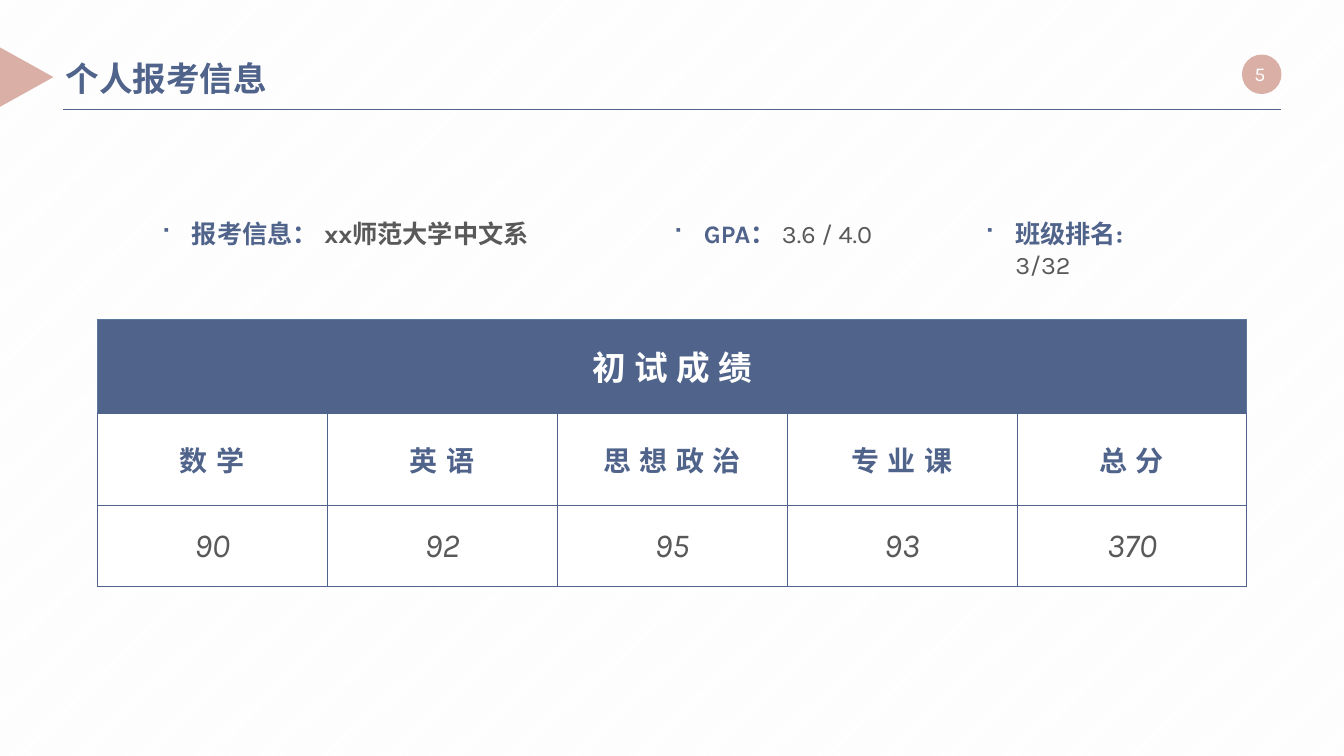
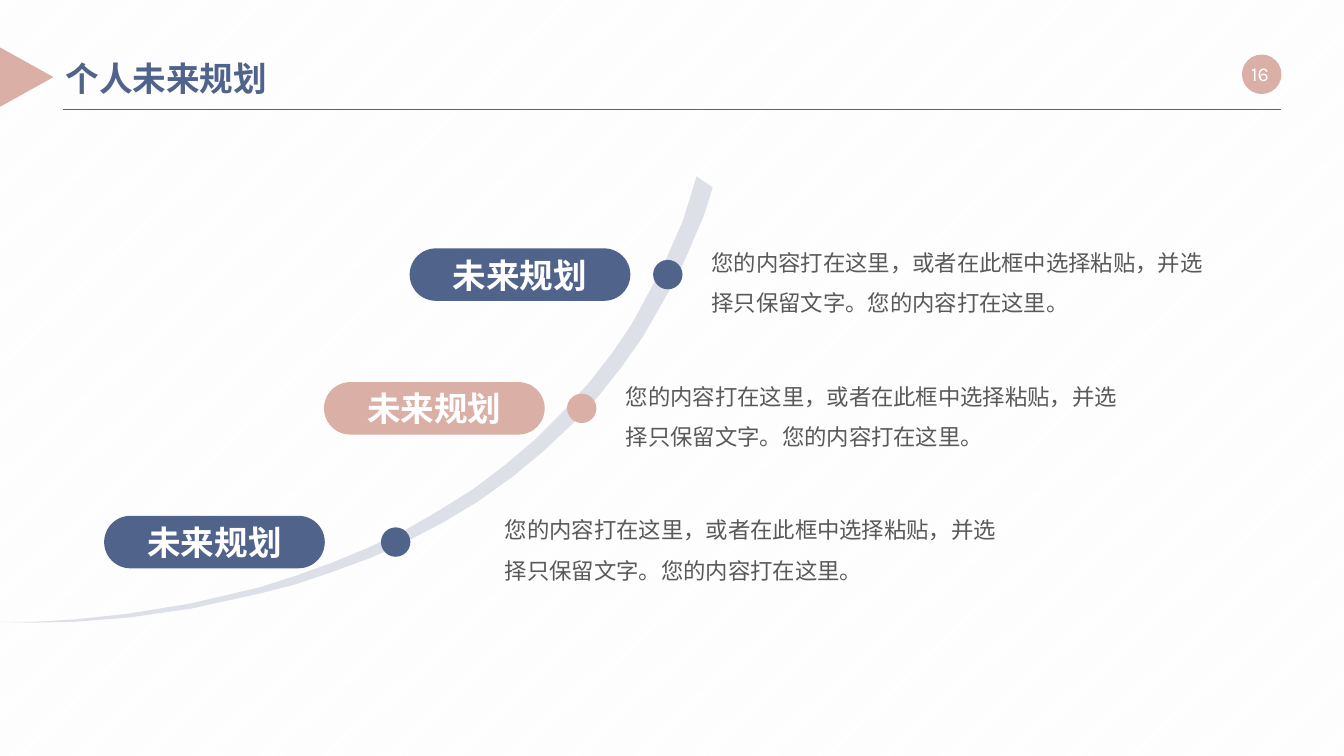
from dataclasses import dataclass

from lxml.etree import SubElement
from pptx import Presentation
from pptx.dml.color import RGBColor
from pptx.enum.dml import MSO_PATTERN
from pptx.enum.shapes import MSO_CONNECTOR, MSO_SHAPE
from pptx.enum.text import MSO_ANCHOR, PP_ALIGN
from pptx.oxml.ns import qn
from pptx.util import Emu, Inches, Pt

COLORS = {
    "blue": "50638A", "pink": "D9AFA6", "gray": "595959", "white": "FFFFFF",
    "stripe": "FCFAFA", "head_edge": "5A789C",
}
FONT = "Karla"

# Square grid: 64 columns by 36 rows; every length below is in grid cells
COLS, SLIDE_W, SLIDE_H = 64, 13.33, 7.5

STYLES = {
    "title": {"size": Pt(24), "bold": True},
    "number": {"size": Pt(14), "bold": False},
    "label": {"size": Pt(18), "bold": True},
    "value": {"size": Pt(18), "bold": False},
    "body": {"size": Pt(16), "bold": False},
    "subject": {"size": Pt(20), "bold": True},
    "score": {"size": Pt(24), "bold": False, "italic": True},
}


@dataclass
class Box:
    x: float
    y: float
    w: float
    h: float


@dataclass
class Run:
    text: str
    style: str
    color: str
    spacing: int = 0


@dataclass
class Fact:
    x: float
    w: float
    label: str
    value: str
    value_style: str


@dataclass
class Milestone:
    pill_x: float
    dot_x: float
    text_x: float
    color: str


FACTS = [
    Fact(7.18, 18.53, "报考信息： ", "xx师范大学中文系", "label"),
    Fact(31.56, 11.42, "GPA： ", "3.6 / 4.0", "value"),
    Fact(46.39, 10.42, "班级排名: ", "3/32", "value"),
]
SCORES = {"数学": "90", "英语": "92", "思想政治": "95", "专业课": "93", "总分": "370"}
MILESTONES = [
    Milestone(19.51, 31.8, 33.41, "blue"),
    Milestone(15.43, 27.7, 29.33, "pink"),
    Milestone(4.96, 18.84, 23.57, "blue"),
]
PLAN_LABEL = "未来规划"
PLAN_TEXT = "您的内容打在这里，或者在此框中选择粘贴，并选择只保留文字。您的内容打在这里。"

# The two edges of the rising curve
UPPER_EDGE = [
    (-0.14, 29.62), (1.58, 29.62), (3.53, 29.51), (6.1, 29.23), (9.05, 28.75),
    (12.34, 27.98), (14.04, 27.44), (15.74, 26.83), (17.51, 26.1), (19.2, 25.3),
    (20.9, 24.32), (22.56, 23.28), (24.07, 22.13), (25.54, 20.88),
    (26.86, 19.55), (28.08, 18.19), (29.16, 16.8), (30.1, 15.41),
    (31.58, 12.67), (32.54, 10.46), (33.17, 8.4),
]
LOWER_EDGE = [
    (33.94, 8.93), (33.55, 10.18), (32.74, 12.1), (32.16, 13.34),
    (30.62, 16.03), (29.64, 17.43), (28.51, 18.86), (27.23, 20.22),
    (25.87, 21.5), (24.37, 22.74), (22.75, 23.9), (21.11, 24.88),
    (19.39, 25.78), (17.66, 26.57), (15.89, 27.22), (14.12, 27.82),
    (12.38, 28.27), (9.1, 28.99), (6.1, 29.42), (3.53, 29.62), (1.54, 29.66),
]


def cells(n: float) -> Emu:
    return Emu(round(Inches(SLIDE_W) * n / COLS))


def rgb(name: str) -> RGBColor:
    return RGBColor.from_string(COLORS[name])


def place(box: Box) -> list[Emu]:
    return [cells(n) for n in (box.x, box.y, box.w, box.h)]


def add_runs(p, runs: list[Run], align=PP_ALIGN.LEFT) -> None:
    p.alignment = align
    for run in runs:
        r = p.add_run()
        r.text = run.text
        for key, value in {"name": FONT, **STYLES[run.style]}.items():
            setattr(r.font, key, value)
        r.font.color.rgb = rgb(run.color)
        rpr = r.font._element
        SubElement(rpr, qn("a:ea")).set("typeface", FONT)
        if run.spacing:
            rpr.set("spc", str(run.spacing * 100))


def add_text(s, box: Box, runs: list[Run], align=PP_ALIGN.LEFT,
             anchor=MSO_ANCHOR.TOP, wrap: bool = True, bullet: bool = False):
    tf = s.shapes.add_textbox(*place(box)).text_frame
    tf.word_wrap, tf.vertical_anchor = wrap, anchor
    p = tf.paragraphs[0]
    if bullet:
        add_bullet(p)
    add_runs(p, runs, align)
    return p


def add_shape(s, kind, box: Box, color: str):
    sp = s.shapes.add_shape(kind, *place(box))
    finish(sp, color)
    return sp


def finish(sp, color: str) -> None:
    sp.shadow.inherit = False
    sp.fill.solid()
    sp.fill.fore_color.rgb = rgb(color)
    sp.line.fill.background()


def add_base(prs, title: str, number: int):
    """Blank slide with the shared background, title and page number."""
    s = prs.slides.add_slide(prs.slide_layouts[6])
    fill = s.background.fill
    fill.patterned()
    fill.pattern = MSO_PATTERN.LIGHT_UPWARD_DIAGONAL
    fill.fore_color.rgb, fill.back_color.rgb = rgb("stripe"), rgb("white")

    # Marker and page number
    marker = add_shape(s, MSO_SHAPE.ISOSCELES_TRIANGLE, Box(-0.19, 2.38, 2.88, 2.59), "pink")
    marker.rotation = 90
    add_shape(s, MSO_SHAPE.OVAL, Box(59.14, 2.6, 1.88, 1.88), "pink")
    add_text(s, Box(58.68, 2.8, 2.64, 1.44), [Run(str(number), "number", "white")],
             PP_ALIGN.CENTER, MSO_ANCHOR.MIDDLE)

    # Rule and title
    rule = s.shapes.add_connector(MSO_CONNECTOR.STRAIGHT, cells(3.02), cells(5.23),
                                  cells(61.01), cells(5.23))
    rule.line.color.rgb, rule.line.width = rgb("blue"), Pt(0.5)
    SubElement(rule._element.spPr, qn("a:effectLst"))
    add_text(s, Box(2.65, 2.5, 10.66, 2.4), [Run(title, "title", "blue")],
             anchor=MSO_ANCHOR.MIDDLE, wrap=False)
    return s


def add_bullet(p) -> None:
    ppr = p._p.get_or_add_pPr()
    indent = Inches(0.31)
    ppr.set("marL", str(indent))
    ppr.set("indent", str(-indent))
    color = SubElement(ppr, qn("a:buClr"))
    SubElement(color, qn("a:srgbClr")).set("val", COLORS["blue"])
    SubElement(ppr, qn("a:buFont")).set("typeface", "Wingdings")
    SubElement(ppr, qn("a:buChar")).set("char", "■")


def set_borders(cell, widths: dict[str, float], color: str) -> None:
    tcpr = cell._tc.get_or_add_tcPr()
    for i, (side, width) in enumerate(widths.items()):
        ln = SubElement(tcpr, qn(f"a:ln{side}"))
        ln.set("w", str(Pt(width)))
        fill = SubElement(ln, qn("a:solidFill"))
        SubElement(fill, qn("a:srgbClr")).set("val", COLORS[color])
        tcpr.insert(i, ln)


def add_score_table(s) -> None:
    heights, col_w = [4.49, 4.33, 3.89], 10.95
    n = len(SCORES)
    box = Box(4.63, 15.22, col_w * n, sum(heights))
    table = s.shapes.add_table(len(heights), n, *place(box)).table
    table.first_row = table.horz_banding = False
    for col in table.columns:
        col.width = cells(col_w)
    for row, height in zip(table.rows, heights):
        row.height = cells(height)
    table.cell(0, 0).merge(table.cell(0, n - 1))

    rows = [
        [Run("初试成绩", "title", "white", 6)],
        [Run(subject, "subject", "blue", 6) for subject in SCORES],
        [Run(score, "score", "gray") for score in SCORES.values()],
    ]
    margins = {"margin_left": Inches(0.07), "margin_right": Inches(0.07),
               "margin_bottom": 0, "vertical_anchor": MSO_ANCHOR.MIDDLE}
    for i, row in enumerate(rows):
        for j in range(n):
            cell = table.cell(i, j)
            cell.fill.solid()
            cell.fill.fore_color.rgb = rgb("white" if i else "blue")
            # Thick lines run round the table and its header
            thick = {"L": j == 0, "R": j == n - 1 or i == 0, "T": i < 2, "B": i != 1}
            set_borders(cell, {side: 1 if on else 0.25 for side, on in thick.items()},
                        "blue" if i else "head_edge")
            if j < len(row):
                top = {"margin_top": Inches(0.06 if i < 2 else 0.01)}
                for key, value in {**margins, **top}.items():
                    setattr(cell, key, value)
                add_runs(cell.text_frame.paragraphs[0], [row[j]], PP_ALIGN.CENTER)


def add_curve(s) -> None:
    points = [(cells(x), cells(y)) for x, y in UPPER_EDGE + LOWER_EDGE]
    builder = s.shapes.build_freeform(*points[0])
    builder.add_line_segments(points[1:], close=True)
    sp = builder.convert_to_shape()
    finish(sp, "blue")
    color = sp._element.spPr.find(qn("a:solidFill")).find(qn("a:srgbClr"))
    SubElement(color, qn("a:alpha")).set("val", "19000")


def add_milestone(s, m: Milestone, mid: float) -> None:
    dot, pill_h, text_h = 1.4, 2.5, 4.18
    add_shape(s, MSO_SHAPE.OVAL, Box(m.dot_x - dot / 2, mid - dot / 2, dot, dot), m.color)
    p = add_text(s, Box(m.text_x, mid - text_h / 2, 24.58, text_h),
                 [Run(PLAN_TEXT, "body", "gray")])
    p.line_spacing = 1.5
    pill = add_shape(s, MSO_SHAPE.ROUNDED_RECTANGLE,
                     Box(m.pill_x, mid - pill_h / 2, 10.51, pill_h), m.color)
    pill.adjustments[0] = 0.5
    tf = pill.text_frame
    tf.vertical_anchor = MSO_ANCHOR.MIDDLE
    add_runs(tf.paragraphs[0], [Run(PLAN_LABEL, "title", "white")], PP_ALIGN.CENTER)


def main() -> None:
    prs = Presentation()
    prs.slide_width, prs.slide_height = Inches(SLIDE_W), Inches(SLIDE_H)

    # Application details
    s = add_base(prs, "个人报考信息", 5)
    add_score_table(s)
    for fact in FACTS:
        add_text(s, Box(fact.x, 10.18, fact.w, 1.92),
                 [Run(fact.label, "label", "blue"),
                  Run(fact.value, fact.value_style, "gray")], bullet=True)

    # Future plans
    s = add_base(prs, "个人未来规划", 16)
    add_curve(s)
    for i, milestone in enumerate(MILESTONES):
        add_milestone(s, milestone, 13.08 + 6.37 * i)

    prs.save("out.pptx")


if __name__ == "__main__":
    main()
